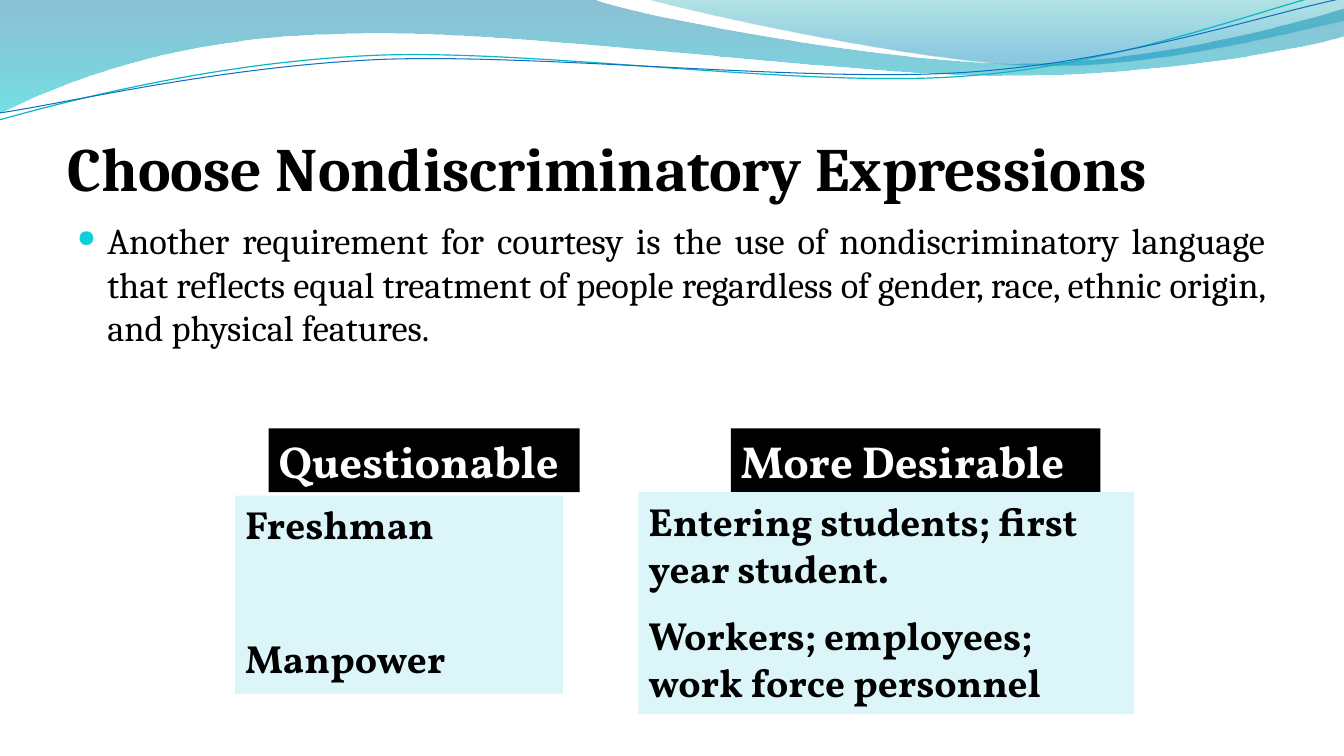
from dataclasses import dataclass

from lxml.etree import SubElement
from pptx import Presentation
from pptx.dml.color import RGBColor
from pptx.enum.shapes import MSO_SHAPE
from pptx.enum.text import MSO_ANCHOR, PP_ALIGN
from pptx.oxml.ns import qn
from pptx.util import Inches, Pt


@dataclass(frozen=True)
class Theme:
    black: str = "000000"
    white: str = "FFFFFF"
    panel: str = "DBF5F9"
    bullet: str = "0BD0D9"
    serif: str = "Cambria"
    display: str = "Vollkorn"
    title_size: int = 44
    body_size: int = 26
    header_size: int = 32
    panel_size: int = 28


THEME = Theme()
CELL = Inches(1) / 12  # the slide is a grid of 160 columns by 90 rows

# Wave outlines in inches: a pair is a straight step, six numbers a Bézier curve.
# Gradient stops are (position in percent, colour, opacity in percent).
WAVE_FILLS = [
    ([(0, 0), (5.87, -0.01), (6.34, 0.17, 8.85, 0.63, 10.11, 0.63),
      (11.38, 0.63, 12.78, 0.26, 13.33, 0.09), (13.35, 0.36),
      (13.11, 0.44, 11.6, 0.76, 9.94, 0.75), (8.29, 0.75, 5.09, 0.28, 3.43, 0.34),
      (1.72, 0.36, 0.61, 0.83, -0.01, 1.13)],
     [(0, "0074A1", 45), (100, "00C6CF", 55)]),
    ([(6.39, -0.01), (6.79, 0.11, 9.09, 0.62, 10.25, 0.65),
      (11.41, 0.69, 12.82, 0.32, 13.33, 0.21), (13.33, 0)],
     [(0, "00A1A9", 30), (80, "008BBF", 45)]),
]
WAVE_LINES = [
    ([(-0.01, 1.19), (0.64, 1.01, 2.11, 0.62, 3.69, 0.55),
      (5.27, 0.48, 7.9, 0.87, 9.5, 0.76), (11.1, 0.66, 12.52, 0.08, 13.31, -0.1)],
     "0AB8BF", 0.85),
    ([(0, 1.12), (0.63, 1.03, 2.18, 0.66, 3.78, 0.59),
      (5.37, 0.53, 7.96, 0.82, 9.55, 0.72), (11.15, 0.62, 12.55, 0.14, 13.34, -0.02)],
     "0F6FC6", 0.75),
]


def color(value):
    return RGBColor.from_string(value)


def grid(*cells):
    return [round(cell * CELL) for cell in cells]


def style(paragraph, font_name, size, font_color, bold=False):
    font = paragraph.font
    font.name, font.size, font.bold = font_name, Pt(size), bold
    font.color.rgb = color(font_color)


def add_outline(slide, steps, close):
    points = [(Inches(step[index]), Inches(step[index + 1]))
              for step in steps for index in range(0, len(step), 2)]
    builder = slide.shapes.build_freeform(*points[0])
    builder.add_line_segments(points[1:], close=close)
    shape = builder.convert_to_shape()
    shape.shadow.inherit = False
    # Join the three points of each curved step into one Bézier segment
    segments = iter(list(shape.element.spPr.iter(qn("a:lnTo"))))
    for step in steps[1:]:
        first = next(segments)
        if len(step) == 6:
            curve = first.makeelement(qn("a:cubicBezTo"))
            first.addprevious(curve)
            for segment in (first, next(segments), next(segments)):
                curve.append(segment[0])
                segment.getparent().remove(segment)
    return shape


def add_wave_fill(slide, steps, stops):
    shape = add_outline(slide, steps, close=True)
    shape.line.fill.background()
    shape.fill.gradient()
    shape.fill.gradient_angle = 270  # top to bottom
    for stop, (position, stop_color, opacity) in zip(shape.fill.gradient_stops, stops):
        stop.position = position / 100
        stop.color.rgb = color(stop_color)
    # Opacity of each stop
    for element, stop in zip(shape.element.spPr.iter(qn("a:srgbClr")), stops):
        SubElement(element, qn("a:alpha"), val=str(stop[2] * 1000))


def add_wave_line(slide, steps, line_color, width):
    shape = add_outline(slide, steps, close=False)
    shape.fill.background()
    shape.line.color.rgb = color(line_color)
    shape.line.width = Pt(width)


def set_title(slide, text):
    title = slide.shapes.title
    title.left, title.top, title.width, title.height = grid(8, 9.25, 144, 15)
    frame = title.text_frame
    frame.text = text
    frame.vertical_anchor = MSO_ANCHOR.BOTTOM
    frame.margin_left = frame.margin_right = frame.margin_bottom = 0
    paragraph = frame.paragraphs[0]
    paragraph.alignment = PP_ALIGN.LEFT
    style(paragraph, THEME.serif, THEME.title_size, THEME.black, bold=True)


def add_bullet_text(slide, text):
    frame = slide.shapes.add_textbox(*grid(8, 25.4, 144, 57.6)).text_frame
    frame.word_wrap = True
    frame.text = text
    paragraph = frame.paragraphs[0]
    paragraph.alignment = PP_ALIGN.JUSTIFY
    style(paragraph, THEME.serif, THEME.body_size, THEME.black)
    # Hanging round bullet
    properties = paragraph._p.get_or_add_pPr()
    properties.set("marL", str(Inches(0.3)))
    properties.set("indent", str(-Inches(0.3)))
    bullet_color = SubElement(properties, qn("a:buClr"))
    SubElement(bullet_color, qn("a:srgbClr"), val=THEME.bullet)
    SubElement(properties, qn("a:buSzPct"), val="65000")
    SubElement(properties, qn("a:buChar"), char="●")
    properties.append(properties.find(qn("a:defRPr")))  # schema order


def add_box(slide, cells, lines, size, fill, font_color, gap=0):
    shape = slide.shapes.add_shape(MSO_SHAPE.RECTANGLE, *grid(*cells))
    shape.shadow.inherit = False
    shape.fill.solid()
    shape.fill.fore_color.rgb = color(fill)
    shape.line.fill.background()
    frame = shape.text_frame
    frame.word_wrap = True
    frame.vertical_anchor = MSO_ANCHOR.TOP
    for index, line in enumerate(lines):
        paragraph = frame.add_paragraph() if index else frame.paragraphs[0]
        paragraph.text = line
        paragraph.alignment = PP_ALIGN.LEFT
        paragraph.space_before = Pt(gap if index else 0)
        style(paragraph, THEME.display, size, font_color, bold=True)


def add_header(slide, cells, text):
    add_box(slide, cells, [text], THEME.header_size, THEME.black, THEME.white)


def add_panel(slide, cells, lines, gap):
    add_box(slide, cells, lines, THEME.panel_size, THEME.panel, THEME.black, gap)


def main():
    presentation = Presentation()
    presentation.slide_width, presentation.slide_height = grid(160, 90)
    slide = presentation.slides.add_slide(presentation.slide_layouts[5])

    # Wave band along the top
    for steps, stops in WAVE_FILLS:
        add_wave_fill(slide, steps, stops)
    for steps, line_color, width in WAVE_LINES:
        add_wave_line(slide, steps, line_color, width)

    # Title and introduction
    set_title(slide, "Choose Nondiscriminatory Expressions")
    add_bullet_text(slide, "Another requirement for courtesy is the use of "
                    "nondiscriminatory language that reflects equal treatment of people "
                    "regardless of gender, race, ethnic origin, and physical features.")

    # Comparison of expressions
    add_header(slide, (32, 51, 37, 7.6), "Questionable")
    add_panel(slide, (28, 59, 39, 23.6), ["Freshman", "Manpower"], gap=62)
    add_header(slide, (87, 51, 44, 7.6), "More Desirable")
    add_panel(slide, (76, 58.6, 59, 26.4),
              ["Entering students; first year student.",
               "Workers; employees; work force personnel"], gap=14)

    presentation.save("out.pptx")


if __name__ == "__main__":
    main()
